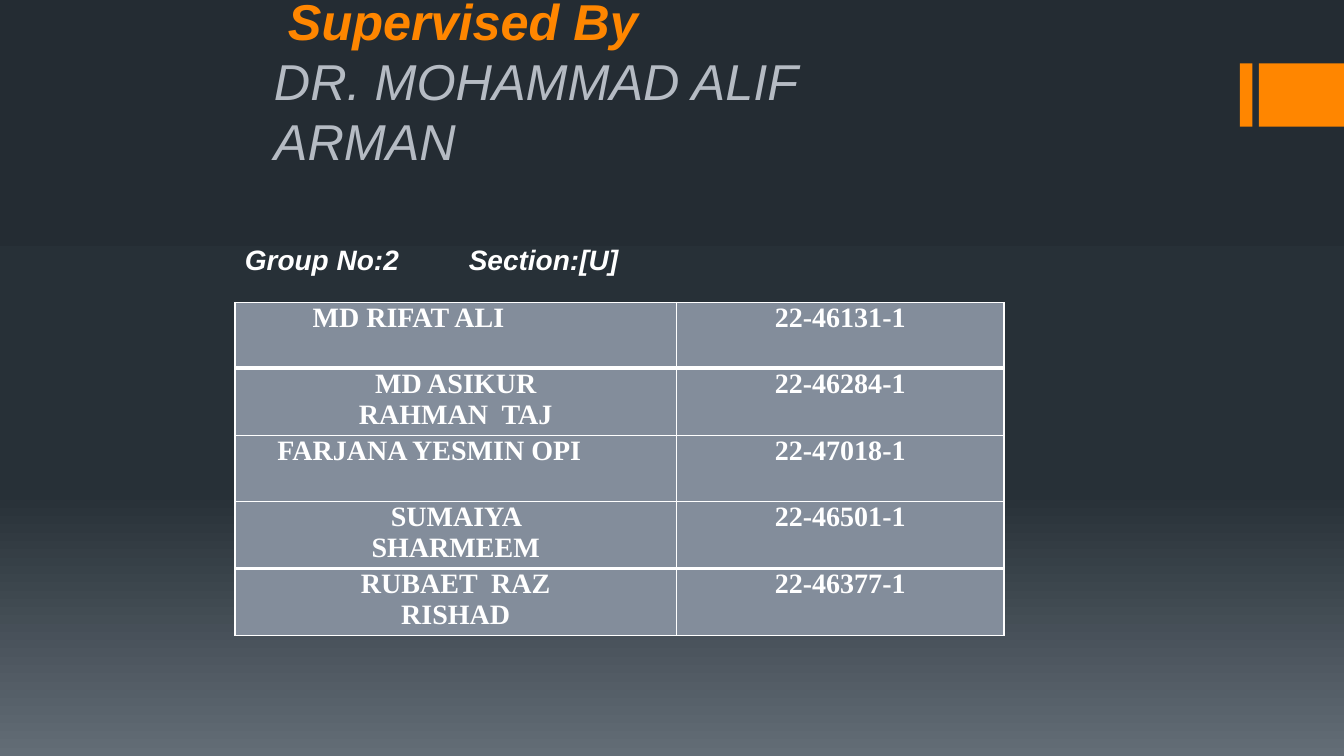
from copy import deepcopy

from lxml import etree
from pptx import Presentation
from pptx.dml.color import RGBColor
from pptx.enum.shapes import MSO_SHAPE
from pptx.enum.text import MSO_ANCHOR, PP_ALIGN
from pptx.oxml.ns import qn
from pptx.util import Pt

RECT = MSO_SHAPE.RECTANGLE
BOTTOM = MSO_ANCHOR.BOTTOM
CENTER, RIGHT = PP_ALIGN.CENTER, PP_ALIGN.RIGHT

COLORS = {"orange": "FF8600", "grey": "B5BBC3", "white": "FFFFFF", "cell": "838D9B"}
BACKGROUND = [(0, "242C33"), (65, "273037"), (100, "636D76")]
HEADING, SUPERVISOR = "Supervised By", "DR. MOHAMMAD ALIF ARMAN"
GROUP_LINE = "Group No:2\tSection:[U]"
# name, id, name alignment, left margin, right margin
MEMBERS = [
    ("MD RIFAT ALI", "22-46131-1", RIGHT, 0, 123),
    ("MD ASIKUR RAHMAN  TAJ", "22-46284-1", CENTER, 76, 76),
    ("FARJANA YESMIN OPI", "22-47018-1", RIGHT, 0, 68),
    ("SUMAIYA SHARMEEM", "22-46501-1", CENTER, 76, 76),
    ("RUBAET  RAZ RISHAD", "22-46377-1", CENTER, 76, 76),
]
RULES = [1, 3, 1, 1, 3, 1]  # widths of the horizontal table lines
ACCENT_BARS = [(885.6, 9), (899.3, 60.7)]  # left, width
COL_WIDTHS = [315.4, 234]
ROW_HEIGHT = 47


def rgb(name):
    return RGBColor.from_string(COLORS[name])


def style(p, font, size, color, bold=True, italic=False):
    for r in p.runs:
        f = r.font
        f.name, f.size, f.bold, f.italic = font, Pt(size), bold, italic
        f.color.rgb = rgb(color)


def add_text_frame(s, left, top, width, height):
    tf = s.shapes.add_textbox(Pt(left), Pt(top), Pt(width), Pt(height)).text_frame
    tf.word_wrap = True
    return tf


def set_background(s):
    fill = s.background.fill
    fill.gradient()
    fill.gradient_angle = 270
    stops = fill.gradient_stops
    first = stops[0]._gs
    first.addnext(deepcopy(first))
    for stop, (position, color) in zip(fill.gradient_stops, BACKGROUND):
        stop.position = position / 100
        stop.color.rgb = RGBColor.from_string(color)


def set_borders(cell, top, bottom):
    tc_pr = cell._tc.get_or_add_tcPr()
    for i, (side, width) in enumerate([("L", 1), ("R", 1), ("T", top), ("B", bottom)]):
        ln = etree.Element(qn(f"a:ln{side}"), w=str(Pt(width)))
        solid = etree.SubElement(ln, qn("a:solidFill"))
        etree.SubElement(solid, qn("a:srgbClr"), val=COLORS["white"])
        tc_pr.insert(i, ln)


def fill_cell(cell, text, align, left, right):
    cell.text = text
    cell.margin_left, cell.margin_right = Pt(left), Pt(right)
    cell.margin_top = cell.margin_bottom = 0
    cell.fill.solid()
    cell.fill.fore_color.rgb = rgb("cell")
    p = cell.text_frame.paragraphs[0]
    p.alignment, p.space_before = align, Pt(1)
    style(p, "Times New Roman", 20, "white")


prs = Presentation()
prs.slide_width, prs.slide_height = Pt(960), Pt(540)
s = prs.slides.add_slide(prs.slide_layouts[6])
set_background(s)

for left, width in ACCENT_BARS:
    sp = s.shapes.add_shape(RECT, Pt(left), Pt(45.2), Pt(width), Pt(45.2))
    sp.shadow.inherit = False
    sp.fill.solid()
    sp.fill.fore_color.rgb = rgb("orange")
    sp.line.fill.background()

tf = add_text_frame(s, 188.6, 66.2, 512.6, 102.2)
tf.vertical_anchor = BOTTOM
tf.margin_bottom = Pt(46.6)
tf.text = f"{HEADING}\n{SUPERVISOR}"
heading, supervisor = tf.paragraphs
style(heading, "Arial", 36, "orange", italic=True)
style(supervisor, "Arial", 36, "grey", bold=False, italic=True)
for p in tf.paragraphs:
    p.line_spacing = Pt(43)
heading._p.get_or_add_pPr().set("marL", str(Pt(10)))

tf = add_text_frame(s, 167.8, 167.8, 444.2, 357.8)
tf.margin_top = Pt(5.6)
tf.text = GROUP_LINE
p = tf.paragraphs[0]
style(p, "Arial", 20, "white", italic=True)
tabs = etree.SubElement(p._p.get_or_add_pPr(), qn("a:tabLst"))
etree.SubElement(tabs, qn("a:tab"), pos=str(Pt(160)), algn="l")

table = s.shapes.add_table(
    len(MEMBERS), len(COL_WIDTHS), Pt(167.8), Pt(216),
    Pt(sum(COL_WIDTHS)), Pt(ROW_HEIGHT * len(MEMBERS))).table
table.first_row = table.horz_banding = False
for column, width in zip(table.columns, COL_WIDTHS):
    column.width = Pt(width)
for i, (name, member_id, align, left, right) in enumerate(MEMBERS):
    table.rows[i].height = Pt(ROW_HEIGHT)
    fill_cell(table.cell(i, 0), name, align, left, right)
    fill_cell(table.cell(i, 1), member_id, CENTER, 0, 0)
    for cell in table.rows[i].cells:
        set_borders(cell, RULES[i], RULES[i + 1])

prs.save("out.pptx")
